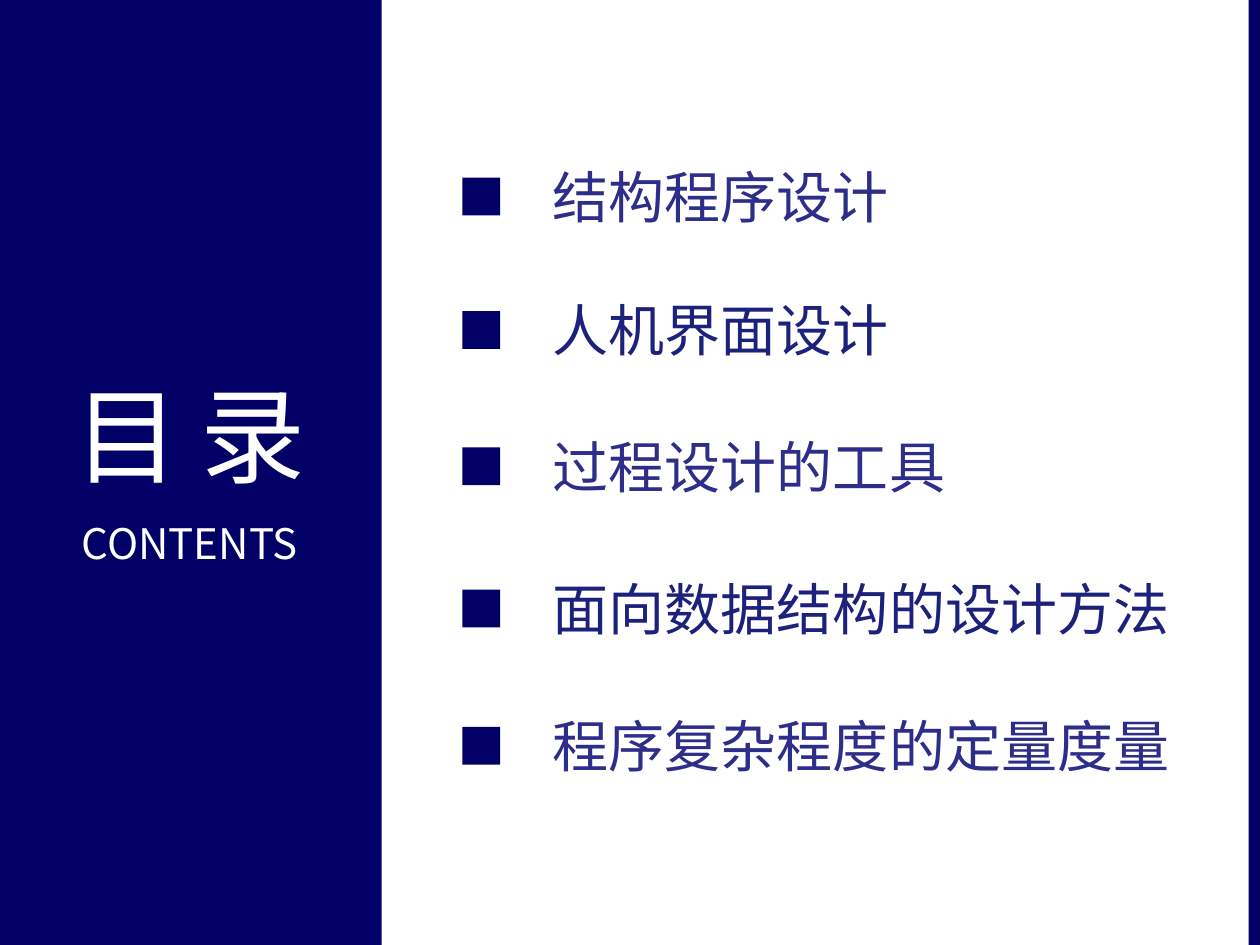
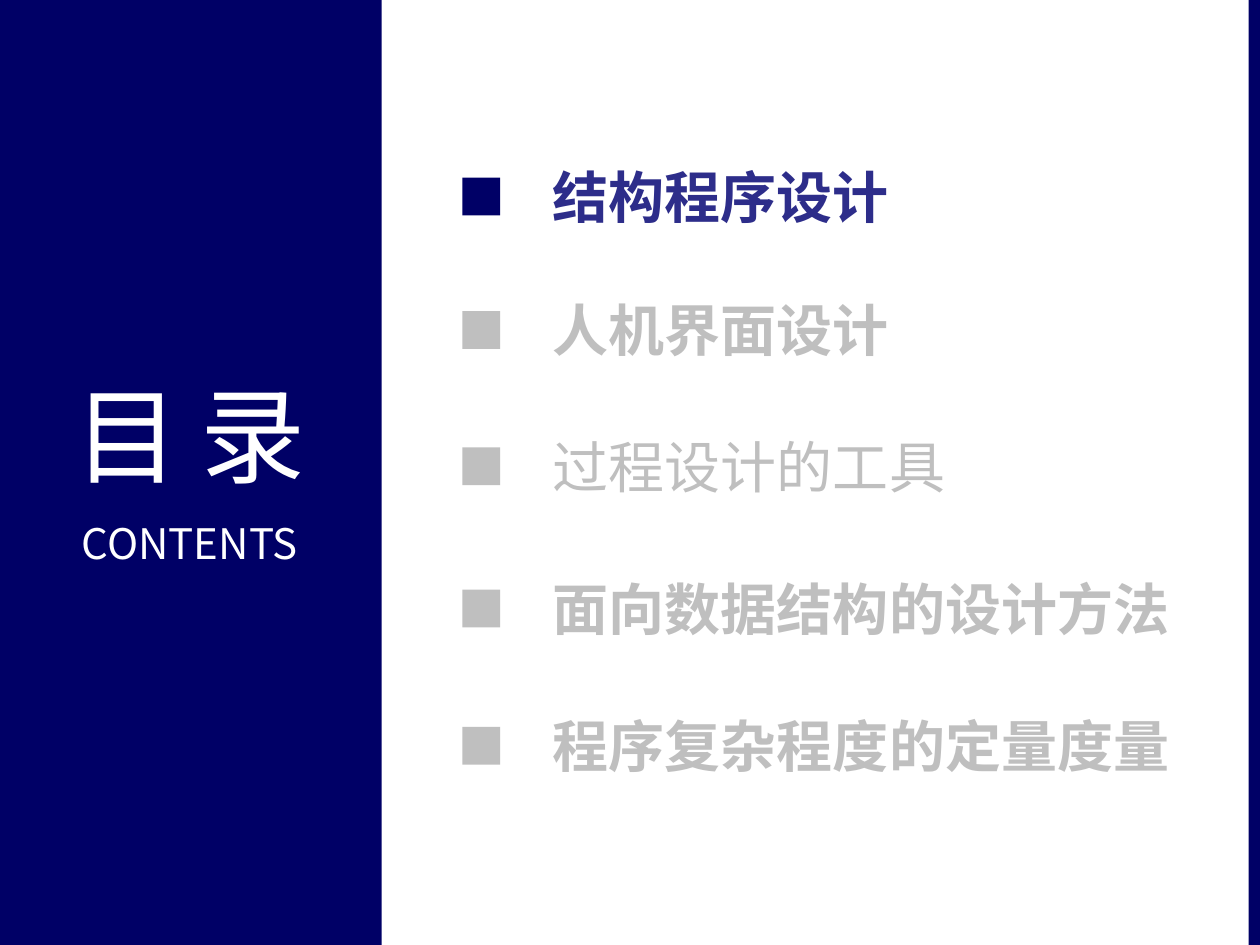
from pptx import Presentation
from pptx.dml.color import RGBColor
from pptx.enum.shapes import MSO_SHAPE
from pptx.enum.text import MSO_ANCHOR, MSO_AUTO_SIZE, PP_ALIGN
from pptx.oxml.ns import qn
from pptx.util import Inches, Pt
from lxml.etree import SubElement

# Content
CHAPTERS = ["结构程序设计", "人机界面设计", "过程设计的工具", "面向数据结构的设计方法", "程序复杂程度的定量度量"]
HEADING = [("目录", 60, 12), ("CONTENTS", 24, 0)]  # text, size, letter spacing

# Colours and font
NAVY = RGBColor(0x00, 0x00, 0x66)
INDIGO = RGBColor(0x2D, 0x2D, 0x8A)
DARK_INDIGO = RGBColor(0x1C, 0x21, 0x7C)
GREY = RGBColor(0xBF, 0xBF, 0xBF)
WHITE = RGBColor(0xFF, 0xFF, 0xFF)
FONT = "Noto Sans CJK SC"

# Chapter styles of each slide: marker colour, text colour, bold
OVERVIEW = [(NAVY, (INDIGO, DARK_INDIGO)[row % 2], False) for row in range(len(CHAPTERS))]
FIRST_CHAPTER = [(NAVY, INDIGO, True)] + [(GREY, GREY, bold) for bold in (True, False, True, True)]

# Layout in inches
WIDTH, HEIGHT = 10, 7.5
BANDS = [(-0.02, 3.05), (9.91, 0.09)]  # left, width
HEADING_BOX = (-0.02, 2.89, 3.05, 1.72)
ROW_TOPS = [1.24, 2.3, 3.38, 4.51, 5.6]
MARKER_LEFT, MARKER_SIZE, MARKER_DROP = 3.67, 0.3, 0.17
TEXT_LEFT, TEXT_WIDTH, TEXT_HEIGHT = 4.29, 5.53, 0.64


def inches(*lengths):
    return [Inches(length) for length in lengths]


def add_rectangle(slide, box, color):
    shape = slide.shapes.add_shape(MSO_SHAPE.RECTANGLE, *inches(*box))
    shape.shadow.inherit = False
    shape.fill.solid()
    shape.fill.fore_color.rgb = color
    shape.line.fill.background()
    return shape


def add_run(paragraph, text, size, color, bold=False, spacing=0):
    run = paragraph.add_run()
    run.text = text
    run.font.size = Pt(size)
    run.font.bold = bold
    run.font.color.rgb = color
    run.font.name = FONT
    properties = run.font._element
    SubElement(properties, qn("a:ea")).set("typeface", FONT)
    if spacing:
        properties.set("spc", str(spacing * 100))


def format_frame(frame):
    frame.word_wrap = True
    frame.auto_size = MSO_AUTO_SIZE.SHAPE_TO_FIT_TEXT
    frame.vertical_anchor = MSO_ANCHOR.TOP


def add_heading(slide):
    title = slide.shapes.title
    title.left, title.top, title.width, title.height = inches(*HEADING_BOX)
    frame = title.text_frame
    format_frame(frame)
    for index, (text, size, spacing) in enumerate(HEADING):
        paragraph = frame.add_paragraph() if index else frame.paragraphs[0]
        paragraph.alignment = PP_ALIGN.CENTER
        if index:
            paragraph.space_before = Pt(size / 2)
        add_run(paragraph, text, size, WHITE, spacing=spacing)


def add_contents_slide(presentation, styles):
    slide = presentation.slides.add_slide(presentation.slide_layouts[5])
    # Side bands, then the heading on top of them
    for left, width in BANDS:
        add_rectangle(slide, (left, 0, width, HEIGHT), NAVY)
    slide.shapes._spTree.append(slide.shapes.title._element)
    add_heading(slide)
    # Chapter list
    for chapter, top, (marker_color, text_color, bold) in zip(CHAPTERS, ROW_TOPS, styles):
        add_rectangle(slide, (MARKER_LEFT, top + MARKER_DROP, MARKER_SIZE, MARKER_SIZE), marker_color)
        box = slide.shapes.add_textbox(*inches(TEXT_LEFT, top, TEXT_WIDTH, TEXT_HEIGHT))
        format_frame(box.text_frame)
        add_run(box.text_frame.paragraphs[0], chapter, 32, text_color, bold)


def main():
    presentation = Presentation()
    presentation.slide_width, presentation.slide_height = inches(WIDTH, HEIGHT)
    for styles in (OVERVIEW, FIRST_CHAPTER):
        add_contents_slide(presentation, styles)
    presentation.save("out.pptx")


if __name__ == "__main__":
    main()
